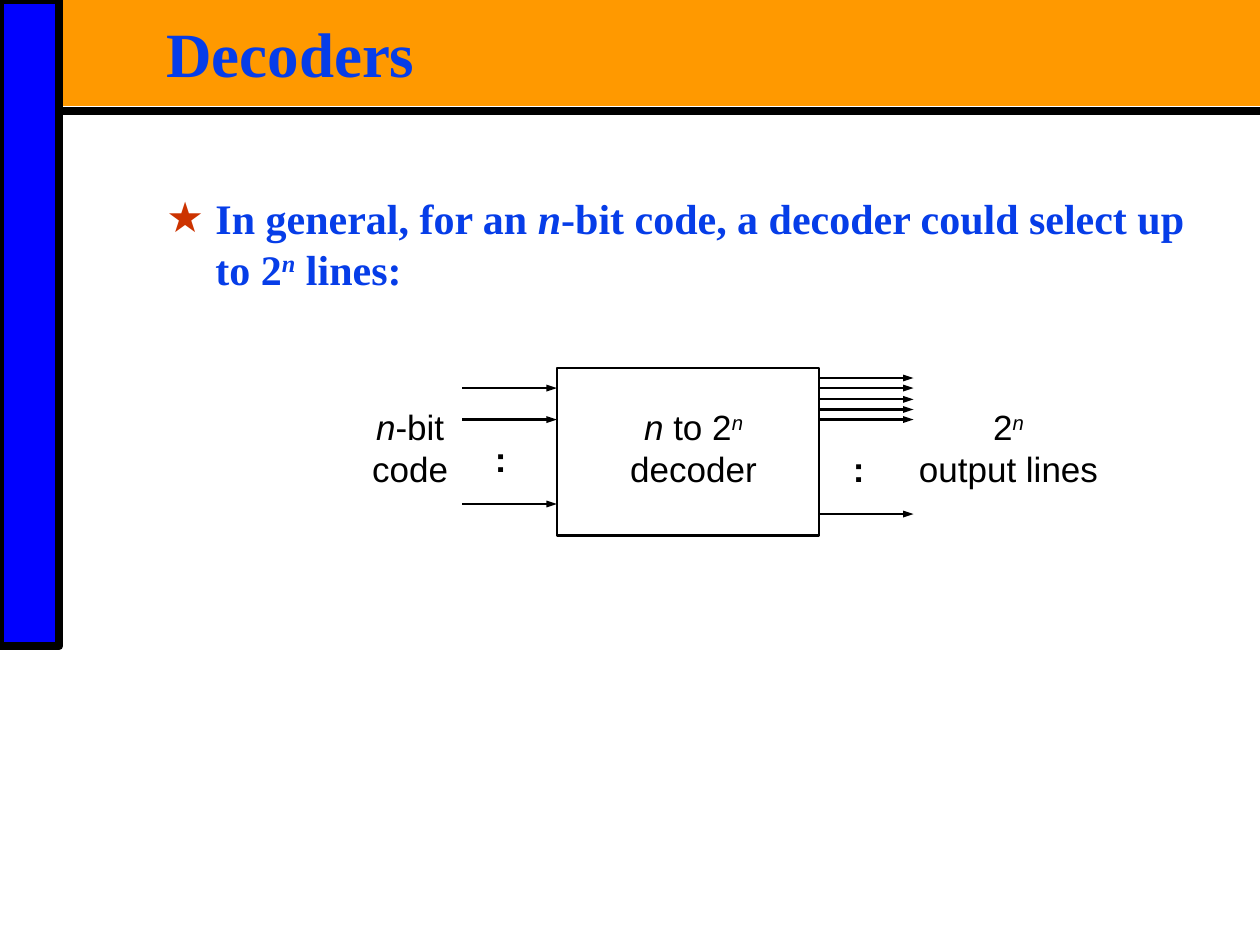
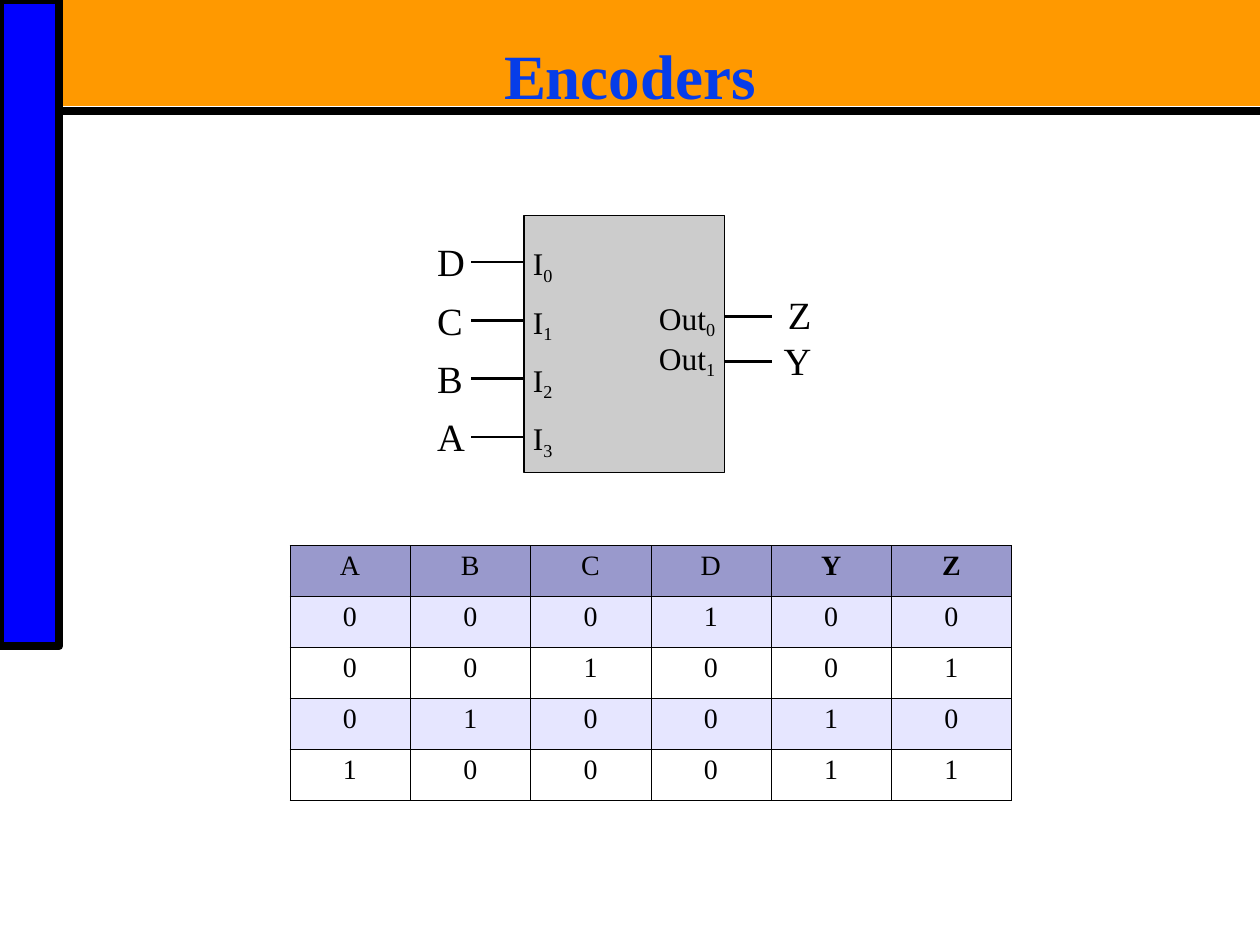
from lxml import etree
from pptx import Presentation
from pptx.dml.color import RGBColor
from pptx.enum.shapes import MSO_CONNECTOR, MSO_SHAPE
from pptx.enum.text import MSO_ANCHOR, MSO_AUTO_SIZE, PP_ALIGN
from pptx.oxml.ns import qn
from pptx.util import Inches, Pt

# Shared style
BLACK = RGBColor(0x00, 0x00, 0x00)
ORANGE = RGBColor(0xFF, 0x99, 0x00)
BLUE = RGBColor(0x00, 0x00, 0xFF)
TITLE_BLUE = RGBColor(0x06, 0x3D, 0xE8)
BULLET_RED = RGBColor(0xCC, 0x33, 0x00)
BLOCK_GRAY = RGBColor(0xCC, 0xCC, 0xCC)
HEADER_FILL = RGBColor(0x99, 0x99, 0xCC)
BAND_FILL = RGBColor(0xE6, 0xE6, 0xFF)
WHITE = RGBColor(0xFF, 0xFF, 0xFF)
SERIF, SANS = "Times New Roman", "Arial"
LEFT, CENTER, RIGHT = PP_ALIGN.LEFT, PP_ALIGN.CENTER, PP_ALIGN.RIGHT

# Content: a line of text is a list of (text, style) runs,
# where style holds "i" italic, "^" superscript, "_" subscript
DECODER_POINT = [("In general, for an ", ""), ("n", "i"),
                 ("-bit code, a decoder could select up to 2", ""),
                 ("n", "i^"), (" lines:", "")]
DECODER_LABELS = [  # left, width, lines
    (2.67, 1.17, [[("n", "i"), ("-bit", "")], [("code", "")]]),
    (4.67, 1.67, [[("n", "i"), (" to 2", ""), ("n", "i^")], [("decoder", "")]]),
    (7.17, 1.67, [[("2", ""), ("n", "i^")], [("output lines", "")]]),
]
DECODER_BOX = (4.42, 2.92, 2.08, 1.33)
DECODER_ARROWS = [  # start x, heights
    (3.67, [3.08, 3.33, 4.0]),
    (6.5, [3.0, 3.08, 3.17, 3.25, 3.33, 4.08]),
]
ARROW_LENGTH = 0.75
COLONS = [(3.83, 3.42), (6.67, 3.5)]

ENCODER_BOX = (4.16, 1.71, 1.59, 2.04)
ENCODER_INPUTS = ["D", "C", "B", "A"]
FIRST_INPUT, INPUT_PITCH = 2.08, 0.463
ENCODER_OUTPUTS = [("Z", 2.51, 2.31), ("Y", 2.87, 2.63)]  # name, wire y, pin top
TRUTH_TABLE = ["ABCDYZ", "000100", "001001", "010010", "100011"]
TABLE_AT = (2.3, 4.33, 5.73, 2.02)
BOLD_HEADERS = "YZ"


def inches(*values):
    return [Inches(v) for v in values]


def add_box(slide, at, fill=None, line=None):
    sp = slide.shapes.add_shape(MSO_SHAPE.RECTANGLE, *inches(*at))
    sp.shadow.inherit = False
    if fill is None:
        sp.fill.background()
    else:
        sp.fill.solid()
        sp.fill.fore_color.rgb = fill
    if line is None:
        sp.line.fill.background()
    else:
        sp.line.color.rgb = BLACK
        sp.line.width = Pt(line)
    return sp


def add_line(slide, x1, x2, y, width, arrow=False):
    cx = slide.shapes.add_connector(MSO_CONNECTOR.STRAIGHT, *inches(x1, y, x2, y))
    cx.line.color.rgb = BLACK
    cx.line.width = Pt(width)
    if arrow:
        etree.SubElement(cx.line._get_or_add_ln(), qn("a:tailEnd"),
                         type="triangle", w="sm", len="med")
    etree.SubElement(cx.element.spPr, qn("a:effectLst"))
    return cx


def write(p, runs, size, font=SERIF, color=BLACK, bold=False, align=LEFT, spacing=1.0):
    p.alignment, p.line_spacing, p.space_before = align, spacing, Pt(0)
    for text, style in runs:
        r = p.add_run()
        r.text = text
        f = r.font
        f.size, f.name, f.bold, f.italic = Pt(size), font, bold, "i" in style
        f.color.rgb = color
        if "^" in style or "_" in style:
            r.font._element.set("baseline", "30000" if "^" in style else "-20000")


def set_frame(tf, margins, wrap=True, anchor=MSO_ANCHOR.TOP):
    tf.margin_left, tf.margin_top, tf.margin_right, tf.margin_bottom = inches(*margins)
    tf.word_wrap, tf.auto_size, tf.vertical_anchor = wrap, MSO_AUTO_SIZE.NONE, anchor


def add_text(slide, at, lines, size, margins=(0.1, 0.05, 0.1, 0.05), wrap=True, **style):
    tf = slide.shapes.add_textbox(*inches(*at)).text_frame
    set_frame(tf, margins, wrap)
    for i, runs in enumerate(lines):
        write(tf.add_paragraph() if i else tf.paragraphs[0], runs, size, **style)


def add_pin(slide, at, runs, size, align=LEFT):
    add_text(slide, at, [runs], size, (0.09, 0.06, 0.09, 0.04), False,
             align=align, spacing=0.95)


def place(sp, at):
    sp.left, sp.top, sp.width, sp.height = inches(*at)


def set_title(slide, text, at, align):
    title = slide.shapes.title
    place(title, at)
    set_frame(title.text_frame, (0.07, 0.03, 0.07, 0.03), anchor=MSO_ANCHOR.MIDDLE)
    write(title.text_frame.paragraphs[0], [(text, "")], 36, color=TITLE_BLUE,
          bold=True, align=align, spacing=0.87)


def add_master_bands(prs, slide):
    """Draw the bands on a slide, then move them to the master."""
    bands = [
        add_box(slide, (0.47, 0, 9.53, 0.84), ORANGE),
        add_box(slide, (0, 0, 0.47, 5.13), BLUE, 4.5),
        add_line(slide, 0.47, 10, 0.88, 4.5),
    ]
    for band in bands:
        prs.slide_master.shapes.element.append(band.element)


def add_star_bullet(p):
    pPr = p._p.get_or_add_pPr()
    pPr.set("marL", str(Inches(0.39)))
    pPr.set("indent", str(-Inches(0.39)))
    color = etree.SubElement(pPr, qn("a:buClr"))
    etree.SubElement(color, qn("a:srgbClr"), val=str(BULLET_RED))
    etree.SubElement(pPr, qn("a:buChar"), char="★")


def set_borders(cell):
    tcPr = cell._tc.get_or_add_tcPr()
    for i, side in enumerate(("lnL", "lnR", "lnT", "lnB")):
        ln = etree.Element(qn("a:" + side), w=str(Pt(0.06)))
        fill = etree.SubElement(ln, qn("a:solidFill"))
        etree.SubElement(fill, qn("a:srgbClr"), val=str(BLACK))
        tcPr.insert(i, ln)


def build_decoder(slide):
    set_title(slide, "Decoders", (1.25, 0.17, 8.5, 0.58), LEFT)

    # Statement
    body = slide.placeholders[1]
    place(body, (1.25, 1.5, 8.5, 0.86))
    set_frame(body.text_frame, (0.07, 0.03, 0.07, 0.03))
    p = body.text_frame.paragraphs[0]
    add_star_bullet(p)
    write(p, DECODER_POINT, 24, color=TITLE_BLUE, bold=True)

    # Block diagram
    add_box(slide, DECODER_BOX, line=1.5)
    for x, heights in DECODER_ARROWS:
        for y in heights:
            add_line(slide, x, x + ARROW_LENGTH, y, 1.25, arrow=True)
    for x, y in COLONS:
        add_text(slide, (x, y, 0.33, 0.44), [[(":", "")]], 20, font=SANS, bold=True)
    for x, width, lines in DECODER_LABELS:
        add_text(slide, (x, 3.17, width, 0.77), lines, 20, font=SANS, align=CENTER)


def build_encoder(slide):
    set_title(slide, "Encoders", (0.5, 0.34, 9, 0.59), CENTER)

    # Block with its input and output pins
    add_box(slide, ENCODER_BOX, BLOCK_GRAY, 0.75)
    left, right = ENCODER_BOX[0], ENCODER_BOX[0] + ENCODER_BOX[2]
    for i, name in enumerate(ENCODER_INPUTS):
        y = FIRST_INPUT + i * INPUT_PITCH
        add_line(slide, 3.74, left, y, 1.45)
        add_pin(slide, (3.38, y - 0.22, 0.4, 0.43), [(name, "")], 22)
        add_pin(slide, (4.14, y - 0.2, 0.34, 0.4), [("I", ""), (str(i), "_")], 18)
    for i, (name, y, pin_top) in enumerate(ENCODER_OUTPUTS):
        add_line(slide, right, 6.13, y, 1.45)
        add_pin(slide, (6.13, y - 0.23, 0.4, 0.43), [(name, "")], 22, RIGHT)
        add_pin(slide, (5.14, pin_top, 0.63, 0.4), [("Out", ""), (str(i), "_")], 18)

    # Truth table
    n_rows, n_cols = len(TRUTH_TABLE), len(TRUTH_TABLE[0])
    table = slide.shapes.add_table(n_rows, n_cols, *inches(*TABLE_AT)).table
    for col in table.columns:
        col.width = Inches(TABLE_AT[2] / n_cols)
    for r, values in enumerate(TRUTH_TABLE):
        table.rows[r].height = Inches(TABLE_AT[3] / n_rows)
        for c, value in enumerate(values):
            cell = table.cell(r, c)
            cell.margin_left = cell.margin_right = Inches(0.09)
            cell.margin_top = cell.margin_bottom = Inches(0.05)
            cell.fill.solid()
            cell.fill.fore_color.rgb = (HEADER_FILL if r == 0
                                        else BAND_FILL if r % 2 else WHITE)
            set_borders(cell)
            write(cell.text_frame.paragraphs[0], [(value, "")], 16,
                  bold=value in BOLD_HEADERS, align=CENTER, spacing=0.95)


def main():
    prs = Presentation()
    prs.slide_width, prs.slide_height = inches(10, 7.5)
    decoder = prs.slides.add_slide(prs.slide_layouts[1])
    add_master_bands(prs, decoder)
    build_decoder(decoder)
    build_encoder(prs.slides.add_slide(prs.slide_layouts[5]))
    prs.save("out.pptx")


if __name__ == "__main__":
    main()
